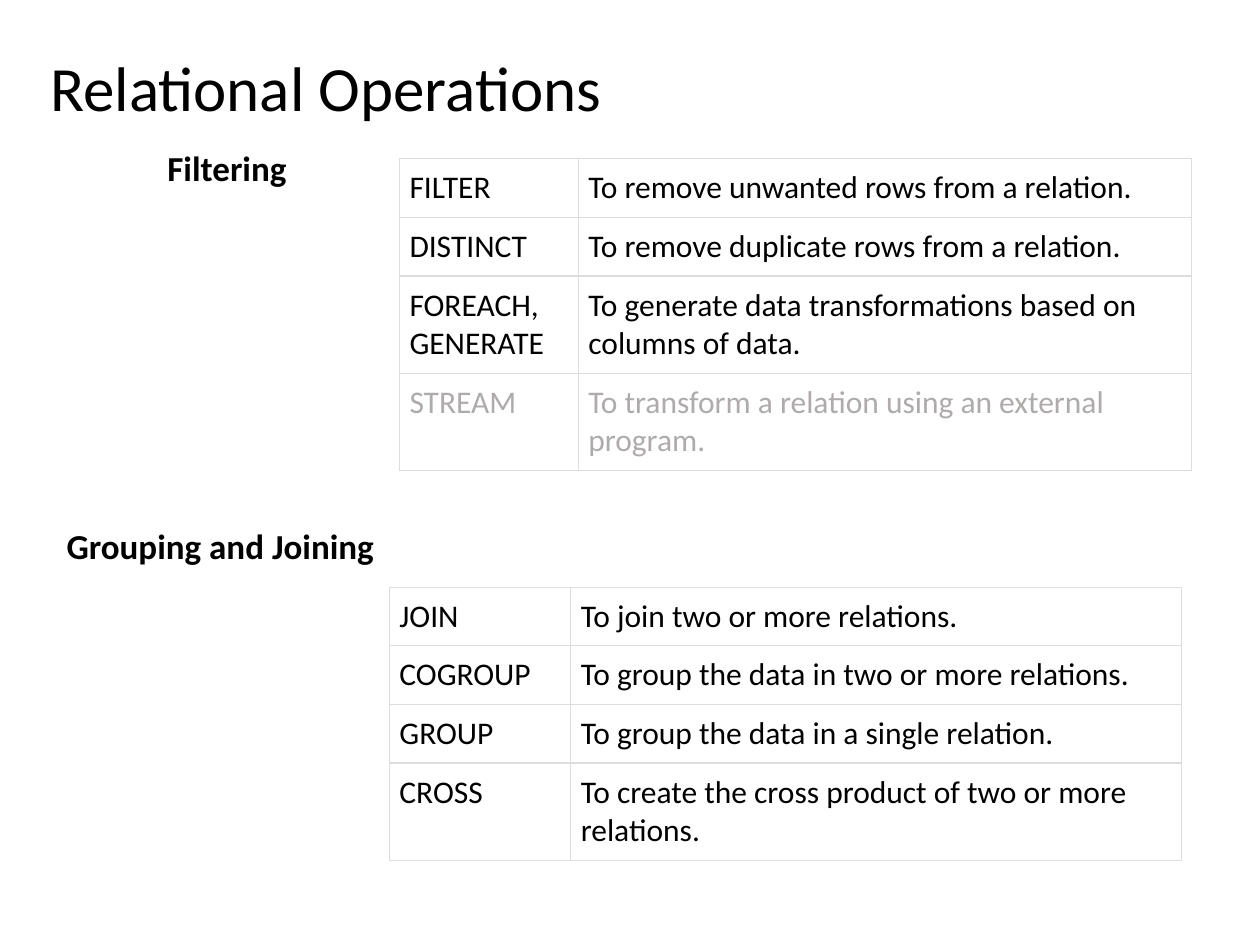
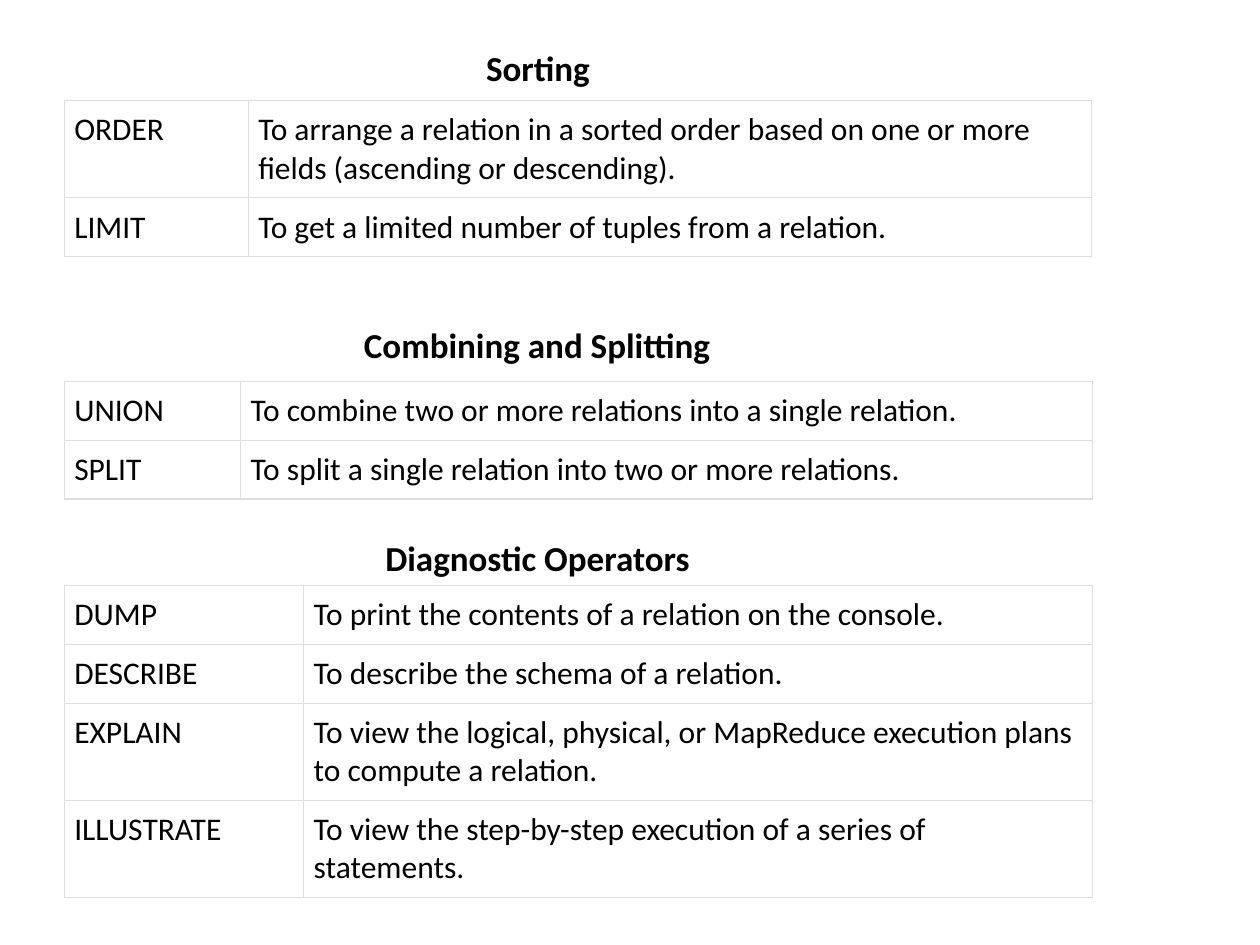
from math import ceil

from lxml.etree import SubElement
from pptx import Presentation
from pptx.dml.color import RGBColor
from pptx.enum.text import MSO_ANCHOR, MSO_AUTO_SIZE
from pptx.oxml.ns import qn
from pptx.util import Inches, Pt

# Shared style
FONT = "Calibri"
COLORS = {"text": "000000", "muted": "AFABAB", "border": "DDDDDD", "cell": "FFFFFF"}
CELL_MARGIN = Inches(0.08)
LINE_HEIGHT = Pt(22)
CHARS_PER_INCH = 9.4
MUTED_OPERATORS = {"STREAM"}

# Content: each section has a heading box, a table position, column widths and rows
SLIDES = [
    {
        "title": "Relational Operations",
        "sections": [
            {
                "heading": "Filtering", "box": (1.23, 1.15, 8.62, 0.56),
                "format": {"wrap": True, "spacing": 0.9},
                "table": (3.17, 1.26), "columns": (1.42, 4.87),
                "rows": [
                    ("FILTER", "To remove unwanted rows from a relation."),
                    ("DISTINCT", "To remove duplicate rows from a relation."),
                    ("FOREACH, GENERATE",
                     "To generate data transformations based on columns of data."),
                    ("STREAM", "To transform a relation using an external program."),
                ],
            },
            {
                "heading": "Grouping and Joining", "box": (0.43, 4.11, 2.66, 0.44),
                "table": (3.09, 4.66), "columns": (1.44, 4.85),
                "rows": [
                    ("JOIN", "To join two or more relations."),
                    ("COGROUP", "To group the data in two or more relations."),
                    ("GROUP", "To group the data in a single relation."),
                    ("CROSS", "To create the cross product of two or more relations."),
                ],
            },
        ],
    },
    {
        "sections": [
            {
                "heading": "Sorting", "box": (3.76, 0.32, 1.03, 0.44),
                "table": (0.51, 0.8), "columns": (1.46, 6.69),
                "rows": [
                    ("ORDER", "To arrange a relation in a sorted order based on one "
                              "or more fields (ascending or descending)."),
                    ("LIMIT", "To get a limited number of tuples from a relation."),
                ],
            },
            {
                "heading": "Combining and Splitting", "box": (2.79, 2.52, 2.98, 0.44),
                "table": (0.51, 3.03), "columns": (1.4, 6.76),
                "rows": [
                    ("UNION", "To combine two or more relations into a single relation."),
                    ("SPLIT", "To split a single relation into two or more relations."),
                ],
            },
            {
                "heading": "Diagnostic Operators", "box": (2.96, 4.21, 2.64, 0.44),
                "table": (0.51, 4.65), "columns": (1.9, 6.26),
                "rows": [
                    ("DUMP", "To print the contents of a relation on the console."),
                    ("DESCRIBE", "To describe the schema of a relation."),
                    ("EXPLAIN", "To view the logical, physical, or MapReduce execution "
                                "plans to compute a relation."),
                    ("ILLUSTRATE",
                     "To view the step-by-step execution of a series of statements."),
                ],
            },
        ],
    },
]


def write(tf, text, size=18, bold=False, color="text", spacing=None):
    """Put formatted text in the first paragraph of a text frame."""
    p = tf.paragraphs[0]
    if spacing:
        p.line_spacing = spacing
    r = p.add_run()
    r.text = text
    r.font.name = FONT
    r.font.size = Pt(size)
    r.font.bold = bold
    r.font.color.rgb = RGBColor.from_string(COLORS[color])


def add_text(s, text, box, wrap=False, anchor=MSO_ANCHOR.TOP, **style):
    tf = s.shapes.add_textbox(*map(Inches, box)).text_frame
    tf.word_wrap = wrap
    tf.auto_size = MSO_AUTO_SIZE.NONE if wrap else MSO_AUTO_SIZE.SHAPE_TO_FIT_TEXT
    tf.vertical_anchor = anchor
    write(tf, text, **style)


def style_cell(cell):
    cell.margin_left = cell.margin_right = CELL_MARGIN
    cell.margin_top = cell.margin_bottom = CELL_MARGIN
    # Borders come before the fill in the cell properties
    tc_pr = cell._tc.get_or_add_tcPr()
    for side in ("lnL", "lnR", "lnT", "lnB"):
        line = SubElement(tc_pr, qn(f"a:{side}"), w=str(Pt(0.75)))
        fill = SubElement(line, qn("a:solidFill"))
        SubElement(fill, qn("a:srgbClr"), val=COLORS["border"])
    cell.fill.solid()
    cell.fill.fore_color.rgb = RGBColor.from_string(COLORS["cell"])


def add_operator_table(s, position, columns, rows):
    # Row height follows the number of lines in the description
    heights = [2 * CELL_MARGIN + LINE_HEIGHT * ceil(len(text) / (columns[1] * CHARS_PER_INCH))
               for _, text in rows]
    table = s.shapes.add_table(len(rows), len(columns), *map(Inches, position),
                               Inches(sum(columns)), sum(heights)).table
    table.first_row = table.horz_banding = False
    for column, width in zip(table.columns, columns):
        column.width = Inches(width)
    for row, height, texts in zip(table.rows, heights, rows):
        row.height = height
        color = "muted" if texts[0] in MUTED_OPERATORS else "text"
        for cell, text in zip(row.cells, texts):
            style_cell(cell)
            write(cell.text_frame, text, color=color)


def main():
    prs = Presentation()
    prs.slide_width, prs.slide_height = Inches(10), Inches(7.5)
    for content in SLIDES:
        s = prs.slides.add_slide(prs.slide_layouts[6])
        if "title" in content:
            add_text(s, content["title"], (0.3, 0.3, 8.62, 0.84), wrap=True,
                     anchor=MSO_ANCHOR.MIDDLE, size=36, spacing=0.9)
        for section in content["sections"]:
            add_text(s, section["heading"], section["box"], size=20, bold=True,
                     **section.get("format", {}))
            add_operator_table(s, section["table"], section["columns"], section["rows"])
    prs.save("out.pptx")


if __name__ == "__main__":
    main()
